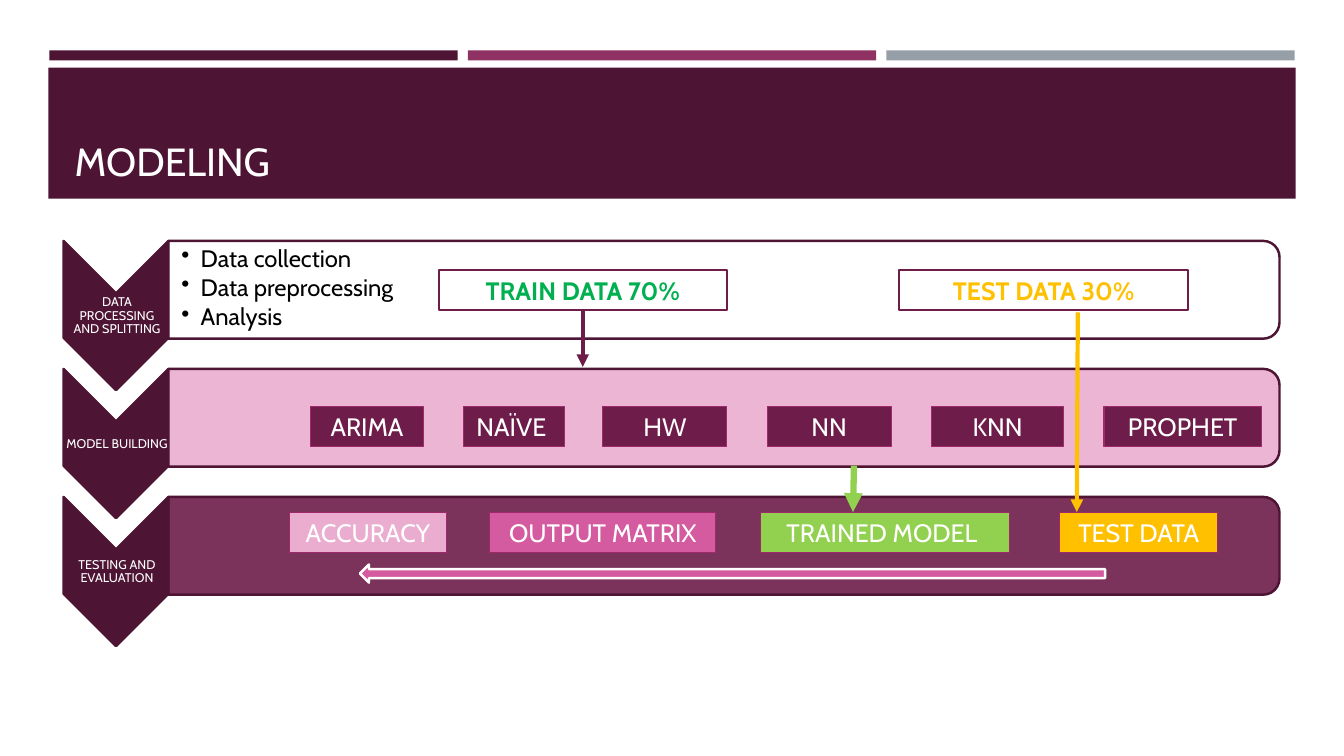
from lxml import etree
from pptx import Presentation
from pptx.dml.color import RGBColor
from pptx.enum.shapes import MSO_CONNECTOR, MSO_SHAPE
from pptx.enum.text import MSO_ANCHOR, MSO_AUTO_SIZE, PP_ALIGN
from pptx.oxml.ns import qn
from pptx.util import Pt

PX = 9144  # 100 px to the inch
FONT = "Cabin"

RECTANGLE = MSO_SHAPE.RECTANGLE
CHEVRON = MSO_SHAPE.CHEVRON
ROUNDED_END = MSO_SHAPE.ROUND_2_SAME_RECTANGLE
RIGHT_ARROW = MSO_SHAPE.RIGHT_ARROW
STRAIGHT = MSO_CONNECTOR.STRAIGHT
MIDDLE, BOTTOM = MSO_ANCHOR.MIDDLE, MSO_ANCHOR.BOTTOM
LEFT, CENTER = PP_ALIGN.LEFT, PP_ALIGN.CENTER
NO_AUTOFIT = MSO_AUTO_SIZE.NONE

WHITE = RGBColor(0xFF, 0xFF, 0xFF)
BLACK = RGBColor(0x00, 0x00, 0x00)
DARK_PLUM = RGBColor(0x4D, 0x14, 0x34)
PLUM = RGBColor(0x6E, 0x1D, 0x4A)
BERRY = RGBColor(0x90, 0x31, 0x63)
MAGENTA = RGBColor(0x9F, 0x29, 0x6B)
PINK = RGBColor(0xD4, 0x5B, 0x9F)
PALE_PINK = RGBColor(0xEA, 0xAD, 0xCF)
GRAY = RGBColor(0x96, 0x9F, 0xA7)
GREEN = RGBColor(0x00, 0xB0, 0x50)
LIME = RGBColor(0x92, 0xD0, 0x50)
AMBER = RGBColor(0xFF, 0xC0, 0x00)

ROW_WIDTH, ROW_HEIGHT, ROW_PITCH = 1206, 97, 127
CHEVRON_WIDTH, CHEVRON_HEIGHT = 104, 148
LABEL_HEIGHT = 40


def add_shape(slide, kind, box, fill=None, line=None, line_width=1.0, rotation=0):
    """Draw a shape that fills the visible box, whatever its rotation."""
    left, top, width, height = box
    if rotation == 90:
        left, top = left + (width - height) / 2, top + (height - width) / 2
        width, height = height, width
    shape = slide.shapes.add_shape(
        kind, *(int(length * PX) for length in (left, top, width, height)))
    shape.rotation = rotation
    shape.shadow.inherit = False
    if fill is None:
        shape.fill.background()
    else:
        shape.fill.solid()
        shape.fill.fore_color.rgb = fill
    if line is None:
        shape.line.fill.background()
    else:
        shape.line.color.rgb = line
        shape.line.width = Pt(line_width)
    return shape


def format_text(text_frame, size, color, align=CENTER, anchor=MIDDLE, bold=False):
    text_frame.word_wrap = True
    text_frame.auto_size = NO_AUTOFIT
    text_frame.vertical_anchor = anchor
    for paragraph in text_frame.paragraphs:
        paragraph.alignment = align
        for run in paragraph.runs:
            run.font.name = FONT
            run.font.size = Pt(size)
            run.font.bold = bold
            run.font.color.rgb = color


def add_text(slide, box, text, size, color, align, left_inset, space_after):
    text_box = slide.shapes.add_textbox(*(length * PX for length in box))
    text_frame = text_box.text_frame
    text_frame.text = text
    format_text(text_frame, size, color, align)
    text_frame.margin_left = left_inset * PX
    text_frame.margin_top = text_frame.margin_right = text_frame.margin_bottom = PX
    for paragraph in text_frame.paragraphs:
        paragraph.line_spacing = 0.9
        paragraph.space_after = Pt(space_after)
    return text_frame


def add_label(slide, left, top, width, text, fill, line=MAGENTA, line_width=0.75,
              color=WHITE, bold=False):
    label = add_shape(slide, RECTANGLE, (left, top, width, LABEL_HEIGHT),
                      fill, line, line_width)
    label.text_frame.text = text
    format_text(label.text_frame, 18, color, bold=bold)
    return label


def add_arrow(slide, start, end, color, width, source=None):
    arrow = slide.shapes.add_connector(
        STRAIGHT, *(length * PX for length in (*start, *end)))
    if source is not None:
        arrow.begin_connect(source, 2)
    arrow.line.color.rgb = color
    arrow.line.width = Pt(width)
    etree.SubElement(arrow.line._get_or_add_ln(), qn("a:tailEnd"), type="triangle")
    etree.SubElement(arrow._element.spPr, qn("a:effectLst"))


def draw_header(slide, left, top):
    # Three accent strips above the title band
    for index, color in enumerate((DARK_PLUM, BERRY, GRAY)):
        add_shape(slide, RECTANGLE, (left + 1 + 415 * index, top, 405, 10), color)
    add_shape(slide, RECTANGLE, (left, top + 17, 1237, 130), DARK_PLUM)

    # Title, brought in front of the band
    title = slide.shapes.title
    title.left, title.top = (left + 16) * PX, (top + 27) * PX
    title.width, title.height = 1206 * PX, 111 * PX
    title.text_frame.text = "MODELING"
    format_text(title.text_frame, 28, WHITE, LEFT, BOTTOM)
    title.element.getparent().append(title.element)


def draw_row(slide, left, top, caption, fill):
    """A stage: downward chevron with its caption, and the bar beside it."""
    add_shape(slide, CHEVRON, (left, top, CHEVRON_WIDTH, CHEVRON_HEIGHT),
              DARK_PLUM, DARK_PLUM, 1.75, rotation=90)
    add_text(slide, (left + 1, top + 52, CHEVRON_WIDTH, 45), caption,
             9, WHITE, CENTER, 1, 3)
    bar = add_shape(slide, ROUNDED_END,
                    (left + CHEVRON_WIDTH, top, ROW_WIDTH - CHEVRON_WIDTH, ROW_HEIGHT),
                    fill, DARK_PLUM, 1.75, rotation=90)
    color = bar._element.spPr.find(qn("a:solidFill"))[0]
    etree.SubElement(color, qn("a:alpha"), val="90000")


def draw_splitting(slide, left, top):
    # Bulleted steps
    steps = add_text(slide, (left + 104, top + 4, 1098, 87),
                     "Data collection\nData preprocessing\nAnalysis",
                     17, BLACK, LEFT, 13, 2.5)
    for paragraph in steps.paragraphs:
        properties = paragraph._p.get_or_add_pPr()
        properties.set("marL", str(19 * PX))
        properties.set("indent", str(-19 * PX))
        etree.SubElement(properties, qn("a:buChar"), char="•")

    # Data split
    train = add_label(slide, left + 372, top + 29, 286, "TRAIN DATA 70%",
                      WHITE, PLUM, 1.5, GREEN, True)
    add_label(slide, left + 829, top + 29, 286, "TEST DATA 30%",
              None, PLUM, 1.5, AMBER, True)
    return train


def draw_models(slide, left, top):
    for offset, width, name in ((245, 112, "ARIMA"), (397, 100, "NAÏVE "),
                                (535, 123, "HW"), (698, 123, "NN"),
                                (861, 131, "KNN"), (1032, 156, "PROPHET")):
        add_label(slide, left + offset, top + 37, width, name, PLUM)


def draw_evaluation(slide, left, top):
    for offset, width, name, fill in ((224, 156, "ACCURACY", PALE_PINK),
                                      (423, 224, "OUTPUT MATRIX", PINK),
                                      (691, 247, "TRAINED MODEL ", LIME),
                                      (988, 157, "TEST DATA", AMBER)):
        add_label(slide, left + offset, top + 15, width, name, fill)
    add_shape(slide, RIGHT_ARROW, (left + 294, top + 67, 739, 18),
              PINK, WHITE, 1.75, rotation=180)


def draw_process(slide, left, top):
    rows = (("DATA PROCESSING AND SPLITTING", WHITE),
            ("MODEL BUILDING", PALE_PINK),
            ("TESTING AND EVALUATION", PLUM))
    for index, (caption, fill) in enumerate(rows):
        draw_row(slide, left, top + ROW_PITCH * index, caption, fill)
    train = draw_splitting(slide, left, top)
    draw_models(slide, left, top + ROW_PITCH)
    draw_evaluation(slide, left, top + 2 * ROW_PITCH)

    # Flow between the stages
    add_arrow(slide, (left + 515, top + 69), (left + 515, top + 125), PLUM, 3, train)
    add_arrow(slide, (left + 784, top + 223), (left + 783, top + 269), LIME, 4.5)
    add_arrow(slide, (left + 1006, top + 71), (left + 1005, top + 269), AMBER, 3)


def main():
    presentation = Presentation()
    presentation.slide_width, presentation.slide_height = 1333 * PX, 750 * PX
    slide = presentation.slides.add_slide(presentation.slide_layouts[5])
    draw_header(slide, 48, 50)
    draw_process(slide, 63, 239)
    presentation.save("out.pptx")


if __name__ == "__main__":
    main()
